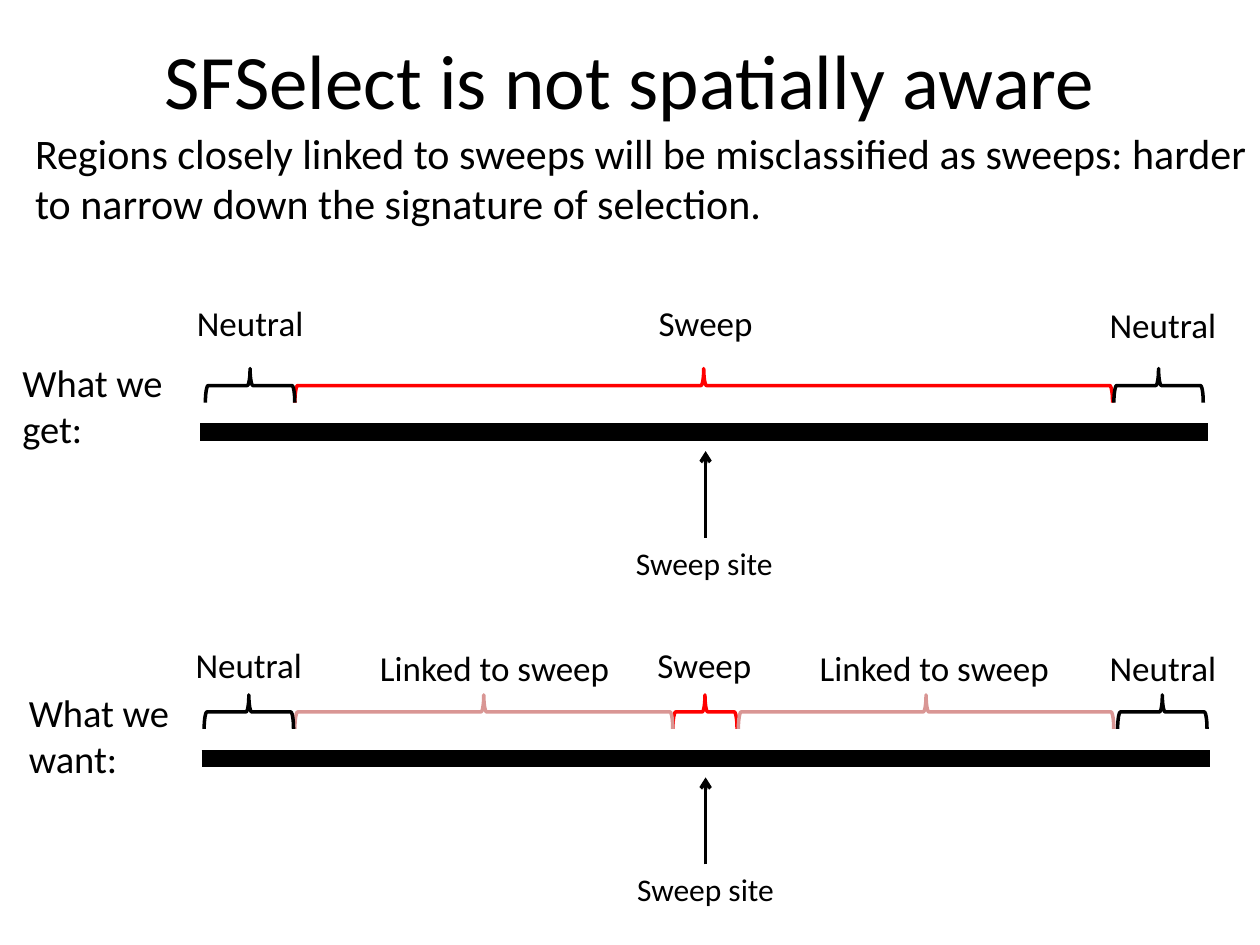
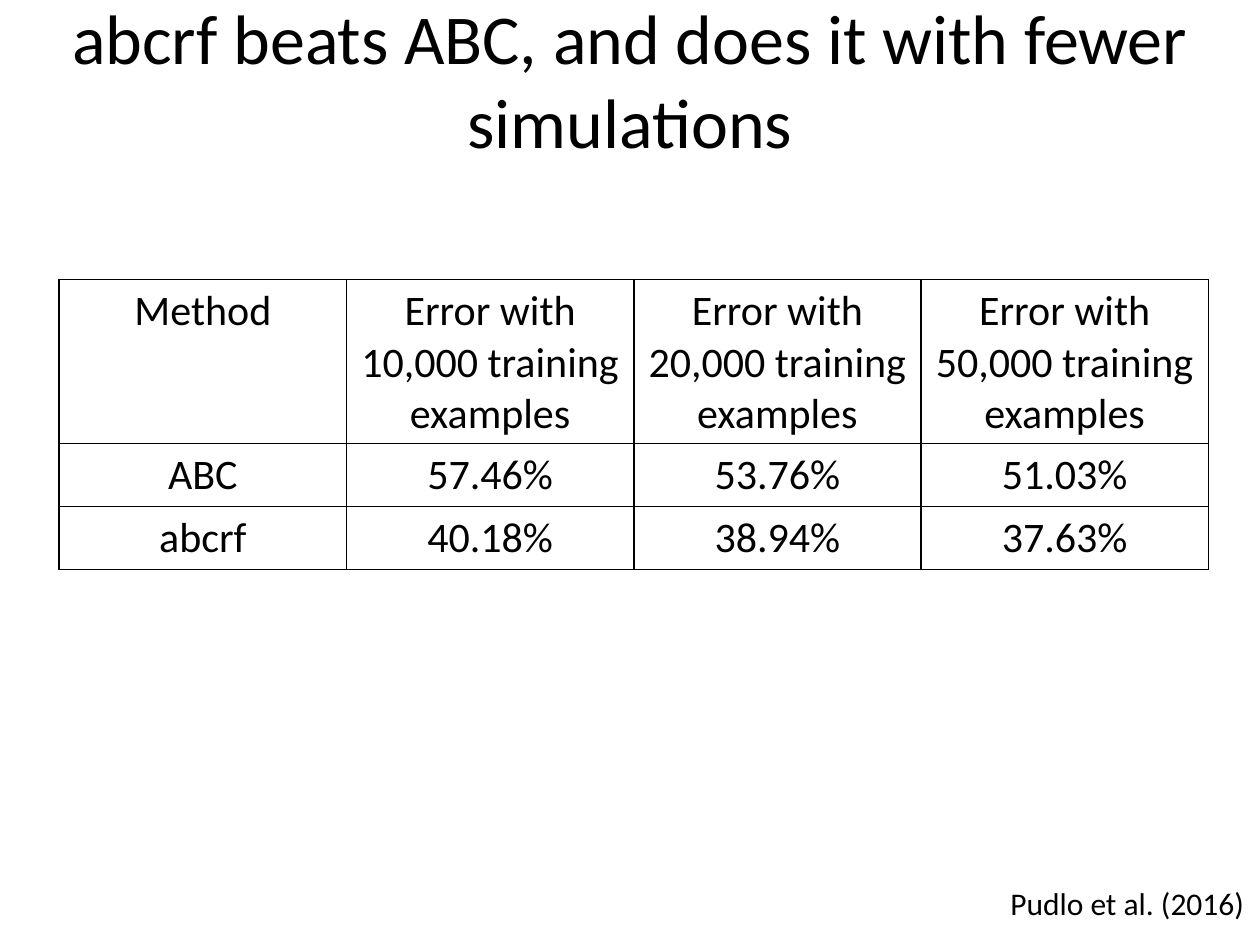
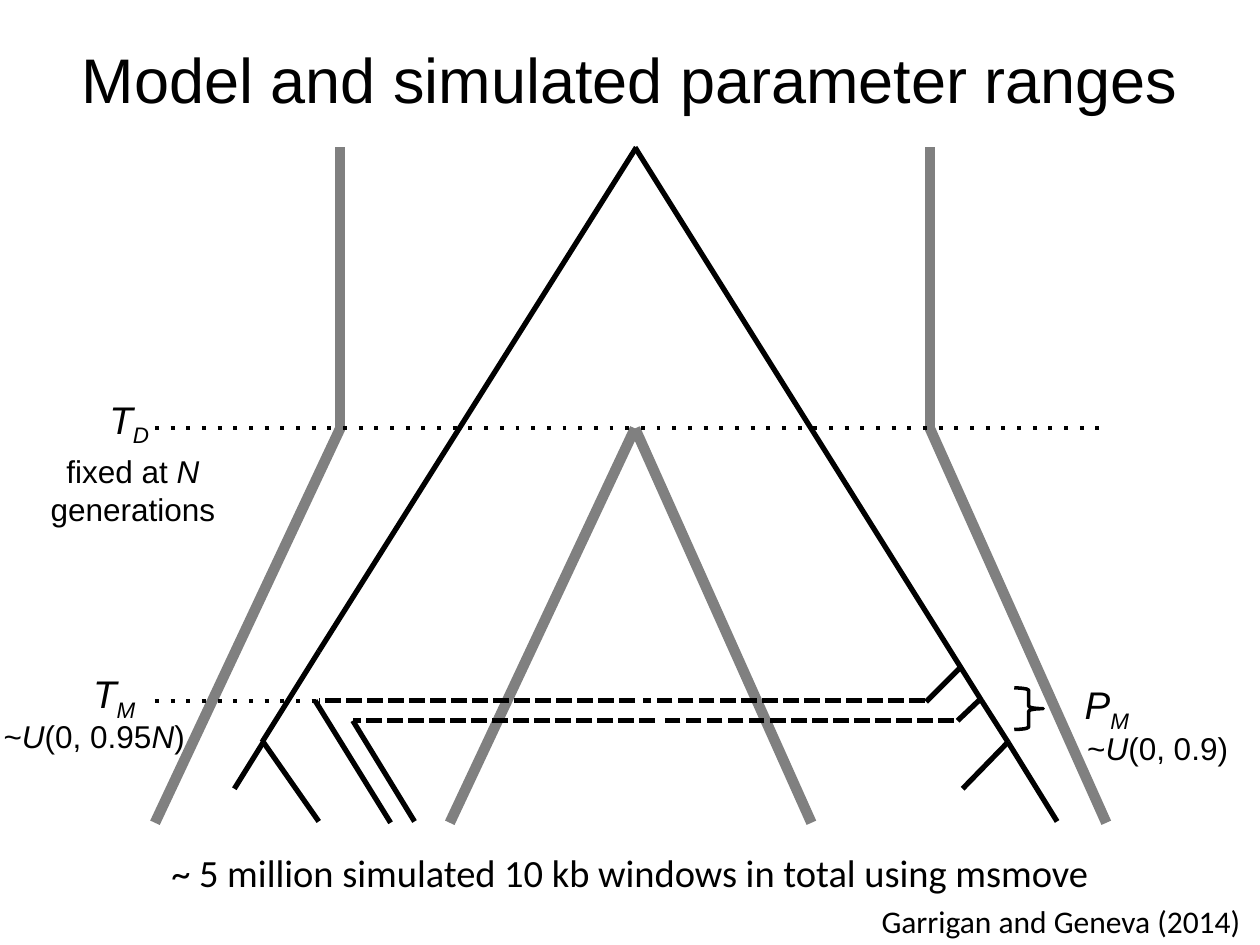
from lxml import etree
from pptx import Presentation
from pptx import util as u
from pptx.dml.color import RGBColor
from pptx.enum import shapes, text
from pptx.oxml import ns

COLORS = {"ink": "000000", "sweep": "FF0000", "linked": "D99694", "population": "808080"}
ALIGN = {"left": text.PP_ALIGN.LEFT, "center": text.PP_ALIGN.CENTER, "right": text.PP_ALIGN.RIGHT}
BRACE_DEPTH = 0.27


def rgb(name):
    return RGBColor.from_string(COLORS[name])


class Deck:
    def __init__(self):
        self.prs = Presentation()
        self.prs.slide_width, self.prs.slide_height = u.Inches(10), u.Inches(7.5)
        self.slide = None

    def new_slide(self, title, size, font="Calibri"):
        self.slide = self.prs.slides.add_slide(self.prs.slide_layouts[6])
        heading = self.label(title, 0, 0, 10, 1.25, size, "center", font, grow=False)
        heading.text_frame.vertical_anchor = text.MSO_ANCHOR.MIDDLE

    def style_font(self, font, size, face):
        font.size, font.name = u.Pt(size), face
        font.color.rgb = rgb("ink")

    def label(self, content, left, top, width, height, size, align="left",
              font="Calibri", wrap=True, grow=True):
        box = self.slide.shapes.add_textbox(*map(u.Inches, (left, top, width, height)))
        frame = box.text_frame
        frame.word_wrap = wrap
        frame.auto_size = text.MSO_AUTO_SIZE.SHAPE_TO_FIT_TEXT if grow else text.MSO_AUTO_SIZE.NONE
        paragraph = frame.paragraphs[0]
        paragraph.alignment = ALIGN[align]
        segments = [(content, "")] if isinstance(content, str) else content
        for words, style in segments:
            run = paragraph.add_run()
            run.text = words
            self.style_font(run.font, size, font)
            if "italic" in style:
                run.font.italic = True
            if "sub" in style:
                run.font._element.set("baseline", "-25000")
        return box

    def line(self, start, end, width, color="ink", dash=None, arrow=False):
        link = self.slide.shapes.add_connector(
            shapes.MSO_CONNECTOR.STRAIGHT, *map(u.Inches, (*start, *end)))
        link.line.color.rgb = rgb(color)
        link.line.width = u.Pt(width)
        outline = link.line._get_or_add_ln()
        if dash:
            etree.SubElement(outline, ns.qn("a:prstDash")).set("val", dash)
        if arrow:
            etree.SubElement(outline, ns.qn("a:tailEnd")).set("type", "arrow")
        etree.SubElement(link._element.spPr, ns.qn("a:effectLst"))

    def brace(self, left, top, width, height, color="ink", rotation=0):
        brace = self.slide.shapes.add_shape(
            shapes.MSO_SHAPE.RIGHT_BRACE, *map(u.Inches, (left, top, width, height)))
        brace.rotation = rotation
        brace.shadow.inherit = False
        brace.fill.background()
        brace.line.color.rgb = rgb(color)
        brace.line.width = u.Pt(2)

    def brace_over(self, start, end, middle, color):
        self.brace((start + end - BRACE_DEPTH) / 2, middle - (end - start) / 2,
                   BRACE_DEPTH, end - start, color, 270)

    def table(self, rows, left, top, column_width, row_heights, size):
        grid = self.slide.shapes.add_table(
            len(rows), len(rows[0]), u.Inches(left), u.Inches(top),
            u.Inches(column_width * len(rows[0])), u.Inches(sum(row_heights))).table
        grid.first_row = grid.horz_banding = False
        for column in grid.columns:
            column.width = u.Inches(column_width)
        for r, (values, height) in enumerate(zip(rows, row_heights)):
            grid.rows[r].height = u.Inches(height)
            for c, value in enumerate(values):
                cell = grid.cell(r, c)
                cell.text = value
                paragraph = cell.text_frame.paragraphs[0]
                paragraph.alignment = ALIGN["center"]
                self.style_font(paragraph.runs[0].font, size, "Calibri")
                self.border(cell)
                cell.fill.background()

    def border(self, cell):
        properties = cell._tc.get_or_add_tcPr()
        for side in ("lnL", "lnR", "lnT", "lnB"):
            edge = etree.SubElement(properties, ns.qn(f"a:{side}"), w=str(u.Pt(1)))
            fill = etree.SubElement(edge, ns.qn("a:solidFill"))
            etree.SubElement(fill, ns.qn("a:srgbClr"), val=COLORS["ink"])


def chromosome(deck, left, bar_y, label_lift, sections):
    deck.line((left, bar_y), (left + 8, bar_y), 10)
    deck.label("Sweep site", left, bar_y + 0.84, 8, 0.4, 18, "center")
    deck.line((5.6, bar_y + 0.84), (5.6, bar_y + 0.15), 2, arrow=True)
    for name, start, end, color, label_left, label_width, drop in sections:
        deck.brace_over(start, end, bar_y - 0.37, color)
        deck.label(name, label_left, bar_y - label_lift + drop, label_width, 0.44, 20, "center")


def spatial_slide(deck):
    deck.new_slide("SFSelect is not spatially aware", 44)
    deck.label("Regions closely linked to sweeps will be misclassified as sweeps: harder "
               "to narrow down the signature of selection.", 0.18, 0.96, 9.82, 0.91, 24)
    chromosome(deck, 1.59, 3.43, 1.09, [
        ("Sweep", 2.34, 8.83, "sweep", 4.79, 1.62, 0),
        ("Neutral", 1.63, 2.34, "ink", 0.69, 2.59, 0),
        ("Neutral", 8.84, 9.55, "ink", 8.68, 1.1, 0.02),
    ])
    deck.label("What we get:", 0.08, 2.8, 1.46, 0.84, 22)
    chromosome(deck, 1.6, 6.02, 0.96, [
        ("Sweep", 5.34, 5.85, "sweep", 4.78, 1.62, 0),
        ("Linked to sweep", 5.86, 8.84, "linked", 6.12, 2.59, 0.02),
        ("Neutral", 8.87, 9.58, "ink", 8.68, 1.1, 0.02),
        ("Linked to sweep", 2.34, 5.34, "linked", 2.63, 2.59, 0.02),
        ("Neutral", 1.62, 2.33, "ink", 0.68, 2.59, 0),
    ])
    deck.label("What we want:", 0.13, 5.42, 1.65, 0.84, 22)


def error_slide(deck):
    deck.new_slide("abcrf beats ABC, and does it with fewer simulations", 40)
    deck.label("Pudlo et al. (2016)", 7.92, 6.97, 2.08, 0.4, 18, wrap=False)
    headings = [f"Error with {count} training examples" for count in ("10,000", "20,000", "50,000")]
    deck.table([
        ["Method", *headings],
        ["ABC", "57.46%", "53.76%", "51.03%"],
        ["abcrf", "40.18%", "38.94%", "37.63%"],
    ], 0.47, 2.22, 2.28, (1.3, 0.5, 0.5), 24)


def model_slide(deck):
    deck.new_slide("Model and simulated parameter ranges", 36, "Arial")
    top, split, bottom = 1.17, 3.4, 6.53
    migration, second_migration = 5.56, 5.72

    for upper, lower in ((5.04, 3.57), (5.04, 6.44), (2.7, 1.23), (7.38, 8.78)):
        deck.line((upper, split), (lower, bottom), 6, "population")
    for wall in (2.7, 7.38):
        deck.line((wall, top), (wall, split + 0.02), 6, "population")

    lineages = [
        ((5.05, top), (2.53, 5.17)), ((2.53, 5.17), (2.08, 5.89)),
        ((2.09, 5.89), (2.53, 6.52)), ((2.09, 5.89), (1.86, 6.26)),
        ((5.04, top), (7.79, migration)), ((7.79, migration), (8, 5.89)),
        ((8, 5.89), (7.64, 6.26)), ((8, 5.89), (8.39, 6.52)),
        ((2.5, migration), (3.1, bottom)), ((2.8, second_migration), (3.29, 6.52)),
        ((7.62, 5.3), (7.35, 5.57)), ((7.79, 5.54), (7.6, second_migration)),
    ]
    for start, end in lineages:
        deck.line(start, end, 3)

    for y, right, left in ((migration, 7.34, 5.1), (migration, 5.04, 2.53),
                           (second_migration, 7.57, 5.27), (second_migration, 5.2, 2.8)):
        deck.line((right, y), (left, y), 3, dash="sysDash")
    for y, right in ((split, 8.78), (migration, 2.53)):
        deck.line((1.23, y), (right, y), 2.25, dash="dot")

    for symbol, index, left, y in (("T", "M", 0.64, 5.27), ("T", "D", 0.77, 3.09),
                                   ("P", "M", 8.51, 5.36)):
        deck.label([(symbol, "italic"), (index, "italic sub")], left, y, 0.81, 0.47, 22, font="Arial")
    deck.label([("~", ""), ("U", "italic"), ("(0, 0.95", ""), ("N", "italic"), (")", "")],
               -0.07, 5.64, 1.65, 0.4, 18, font="Arial", wrap=False)
    deck.label([("~", ""), ("U", "italic"), ("(0, 0.9)", "")],
               8.53, 5.74, 1.33, 0.4, 18, font="Arial", wrap=False)
    deck.label([("fixed at ", ""), ("N ", "italic"), ("generations", "")],
               0.17, 3.54, 1.77, 0.71, 18, "center", "Arial")
    deck.brace(8.05, 5.46, 0.23, 0.33)
    deck.label("~ 5 million simulated 10 kb windows in total using msmove",
               0, 6.69, 10, 0.47, 22, "center")
    deck.label("Garrigan and Geneva (2014) ", 4.69, 7.11, 5.31, 0.4, 18, "right")


def main():
    deck = Deck()
    spatial_slide(deck)
    error_slide(deck)
    model_slide(deck)
    deck.prs.save("out.pptx")


if __name__ == "__main__":
    main()
